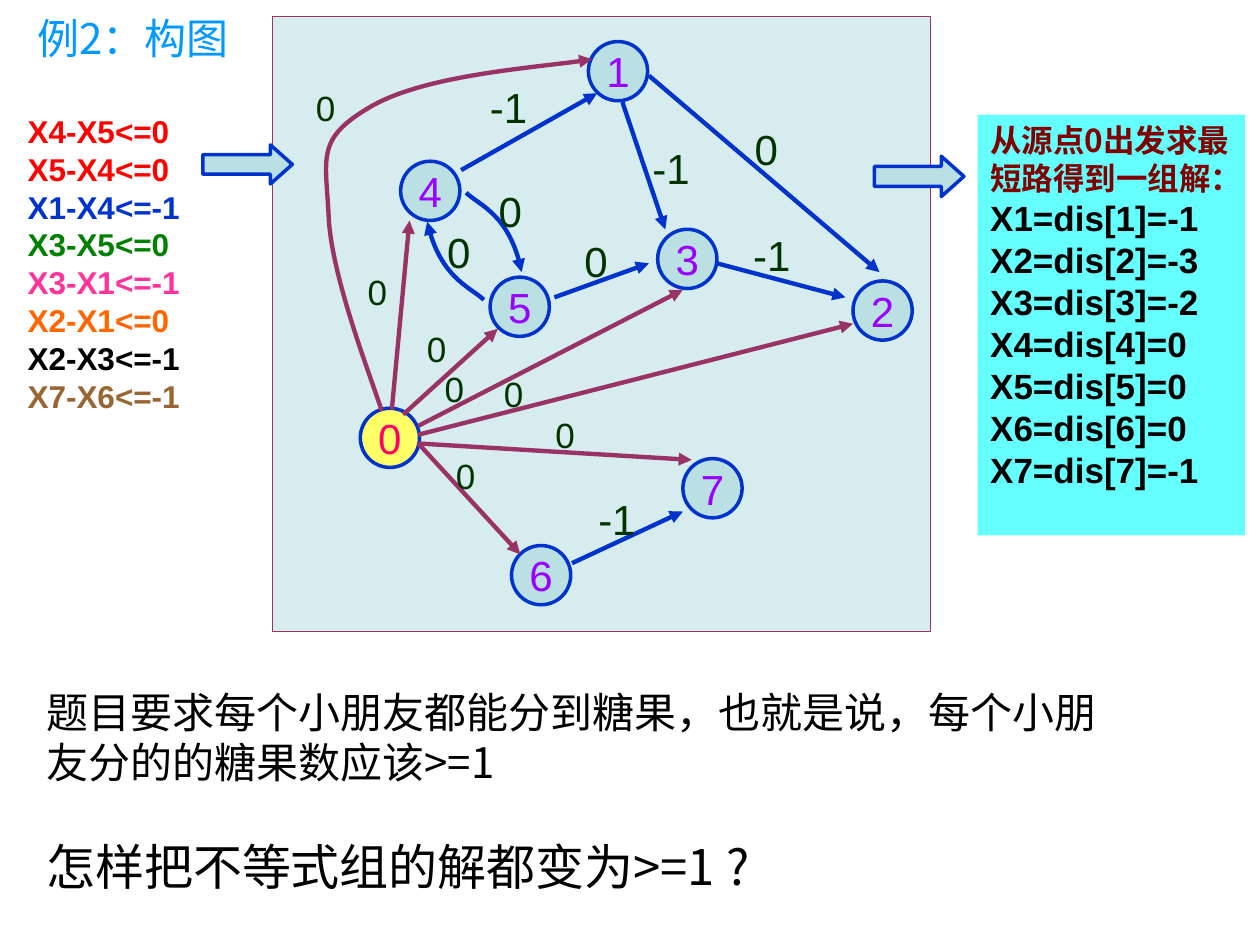
import pptx
import pptx.util
import pptx.dml.color
import pptx.enum.shapes
import pptx.enum.text
import pptx.oxml.ns
from lxml import etree

Inches, Pt = pptx.util.Inches, pptx.util.Pt
RGB = pptx.dml.color.RGBColor
SHAPE = pptx.enum.shapes.MSO_SHAPE
STRAIGHT = pptx.enum.shapes.MSO_CONNECTOR.STRAIGHT
ALIGN, ANCHOR = pptx.enum.text.PP_ALIGN, pptx.enum.text.MSO_ANCHOR
AUTO = pptx.enum.text.MSO_AUTO_SIZE
qn = pptx.oxml.ns.qn

LATIN, CJK = "Arial", "Noto Sans CJK SC"
BLACK, WHITE = RGB(0, 0, 0), RGB(255, 255, 255)
SKY, BLUE = RGB(0x00, 0x99, 0xFF), RGB(0x00, 0x33, 0xCC)
PALE, PLUM = RGB(0xBB, 0xE0, 0xE3), RGB(0x99, 0x33, 0x66)
PURPLE, PINK = RGB(0x99, 0x00, 0xFF), RGB(0xFF, 0x00, 0x66)
YELLOW, CYAN = RGB(0xFF, 0xFF, 0x66), RGB(0x66, 0xFF, 0xFF)
DARK_GREEN, MAROON = RGB(0x00, 0x33, 0x00), RGB(0x80, 0x00, 0x00)
RED, GREEN = RGB(0xFF, 0x00, 0x00), RGB(0x00, 0x80, 0x00)
ROSE, ORANGE = RGB(0xFF, 0x33, 0x99), RGB(0xFF, 0x66, 0x00)
BROWN = RGB(0x99, 0x66, 0x33)

# Content: text boxes as (box, size, colour, wording)
HEADINGS = [
    ((0.2, 0.05, 4.78, 0.5), 24, SKY, "例2：构图"),
    ((0.27, 5.4, 8.82, 0.9), 24, BLACK,
     "题目要求每个小朋友都能分到糖果，也就是说，每个小朋友分的的糖果数应该>=1"),
    ((0.27, 6.59, 6.46, 0.57), 28, BLACK, "怎样把不等式组的解都变为>=1 ?"),
]
CONSTRAINTS = [
    ("X4-X5<=0", RED), ("X5-X4<=0", RED), ("X1-X4<=-1", BLUE),
    ("X3-X5<=0", GREEN), ("X3-X1<=-1", ROSE), ("X2-X1<=0", ORANGE),
    ("X2-X3<=-1", BLACK), ("X7-X6<=-1", BROWN),
]
SOLUTION_TITLE = "从源点0出发求最短路得到一组解："
DISTANCES = [-1, -3, -2, 0, 0, 0, -1]

# Graph: left and top of every node, edges as (from, to), weights as (text, left, top)
NODE_SIZE = 0.47
NODES = {"4": (3.18, 1.28), "1": (4.67, 0.33), "2": (6.77, 2.23), "3": (5.22, 1.82),
         "5": (3.89, 2.2), "6": (4.06, 4.33), "7": (5.42, 3.64), "0": (2.86, 3.24)}
CONSTRAINT_EDGES = [
    ((3.66, 1.35), (4.74, 0.74)), ((4.94, 0.81), (5.28, 1.82)),
    ((5.15, 0.6), (6.98, 2.16)), ((5.69, 2.09), (6.71, 2.36)),
    ((4.4, 2.36), (5.15, 2.09)), ((4.54, 4.47), (5.42, 4.06)),
]
SOURCE_EDGES = [
    ((3.11, 3.25), (3.25, 1.75)), ((3.2, 3.29), (3.95, 2.61)),
    ((3.32, 3.38), (5.42, 2.3)), ((3.32, 3.45), (6.77, 2.57)),
    ((3.32, 3.52), (4.13, 4.4)), ((3.32, 3.52), (5.49, 3.65)),
]
# Bezier curves: a start, then three points per segment
CURVES = [
    (BLUE, [(3.84, 2.38), (3.75, 2.29), (3.49, 2.21), (3.39, 1.76)]),
    (BLUE, [(3.7, 1.53), (3.79, 1.62), (4.05, 1.7), (4.14, 2.16)]),
    (PLUM, [(3.03, 3.26), (2.94, 2.98), (2.64, 2.22), (2.61, 1.74),
            (2.59, 1.26), (2.5, 1.11), (2.92, 0.86),
            (3.34, 0.6), (4.35, 0.53), (4.7, 0.47)]),
]
CONSTRAINT_WEIGHTS = [
    ("-1", 3.79, 0.6), ("-1", 5.08, 1.08), ("-1", 5.88, 1.77), ("-1", 4.65, 3.87),
    ("0", 5.89, 0.93), ("0", 3.86, 1.42), ("0", 3.45, 1.75), ("0", 4.54, 1.82),
]
SOURCE_WEIGHTS = [("0", x, y) for x, y in [
    (2.41, 0.64), (2.82, 2.1), (3.29, 2.55), (3.43, 2.87),
    (3.9, 2.91), (4.31, 3.23), (3.52, 3.56)]]
BLOCK_ARROWS = [(1.61, 1.15, 0.71, 0.31), (6.94, 1.24, 0.71, 0.32)]

prs = pptx.Presentation()
prs.slide_width, prs.slide_height = Inches(10), Inches(7.5)
s = prs.slides.add_slide(prs.slide_layouts[6])


def write(sp, lines, wrap=True):
    """Fill a shape with lines of (text, size, colour, font, bold)."""
    tf = sp.text_frame
    tf.text = "\n".join(line[0] for line in lines)
    tf.word_wrap = wrap
    for p, (_, size, color, font, bold) in zip(tf.paragraphs, lines):
        p.alignment = ALIGN.LEFT
        for r in p.runs:
            r.font.size, r.font.bold, r.font.name = Pt(size), bold, font
            r.font.color.rgb = color
            ea = etree.SubElement(r.font._element, qn("a:ea"))
            ea.set("typeface", font)
    return tf


def add_text(box, lines):
    sp = s.shapes.add_textbox(*map(Inches, box))
    write(sp, lines).auto_size = AUTO.SHAPE_TO_FIT_TEXT


def add_block(kind, box, fill, line=None, width=2):
    sp = s.shapes.add_shape(kind, *map(Inches, box))
    sp.shadow.inherit = False
    sp.fill.solid()
    sp.fill.fore_color.rgb = fill
    if line is None:
        sp.line.fill.background()
    else:
        sp.line.color.rgb, sp.line.width = line, Pt(width)
    return sp


def add_panel(box, fill, lines):
    tf = write(add_block(SHAPE.RECTANGLE, box, fill), lines)
    tf.vertical_anchor = ANCHOR.TOP
    tf.auto_size = AUTO.SHAPE_TO_FIT_TEXT


def style_edge(sp, color):
    sp.line.color.rgb, sp.line.width = color, Pt(2.5)
    etree.SubElement(sp.line._get_or_add_ln(), qn("a:tailEnd")).set("type", "triangle")


def add_edge(start, end, color):
    sp = s.shapes.add_connector(STRAIGHT, *map(Inches, start + end))
    style_edge(sp, color)
    etree.SubElement(sp._element.spPr, qn("a:effectLst"))


def add_curve(points, color):
    start, *rest = [(Inches(x), Inches(y)) for x, y in points]
    builder = s.shapes.build_freeform(*start)
    builder.add_line_segments(rest, close=False)
    sp = builder.convert_to_shape()
    sp.fill.background()
    style_edge(sp, color)
    sp.shadow.inherit = False
    # Turn every three straight steps into one cubic segment
    path = next(sp._element.iter(qn("a:path")))
    steps = path.findall(qn("a:lnTo"))
    for i in range(0, len(steps), 3):
        cubic = etree.SubElement(path, qn("a:cubicBezTo"))
        for step in steps[i:i + 3]:
            cubic.append(step[0])
            path.remove(step)


# Constraint list
add_panel((0.12, 0.84, 1.42, 2.5), WHITE,
          [(text, 18, color, LATIN, True) for text, color in CONSTRAINTS])

# Graph background
board = add_block(SHAPE.RECTANGLE, (2.16, 0.13, 5.22, 4.88), PALE, PLUM, 0.25)
tint = next(board._element.spPr.iter(qn("a:srgbClr")))
etree.SubElement(tint, qn("a:alpha")).set("val", "59000")

# Nodes
for name, corner in NODES.items():
    fill, ink = (YELLOW, PINK) if name == "0" else (PALE, PURPLE)
    node = add_block(SHAPE.OVAL, corner + (NODE_SIZE, NODE_SIZE), fill, BLUE)
    tf = write(node, [(name, 24, ink, LATIN, False)], wrap=False)
    tf.vertical_anchor = ANCHOR.MIDDLE
    tf.paragraphs[0].alignment = ALIGN.CENTER

# Edges and their weights
for edges, color in ((CONSTRAINT_EDGES, BLUE), (SOURCE_EDGES, PLUM)):
    for start, end in edges:
        add_edge(start, end, color)
for color, points in CURVES:
    add_curve(points, color)
for weights, size, height in ((CONSTRAINT_WEIGHTS, 24, 0.5), (SOURCE_WEIGHTS, 20, 0.44)):
    for text, x, y in weights:
        add_text((x, y, 0.53, height), [(text, size, DARK_GREEN, LATIN, False)])

# Solution panel
add_panel((7.76, 0.91, 2.12, 3.34), CYAN,
          [(SOLUTION_TITLE, 18, MAROON, CJK, True)]
          + [(f"X{i}=dis[{i}]={d}", 20, BLACK, LATIN, True)
             for i, d in enumerate(DISTANCES, 1)])

# Title, question and block arrows
for box, size, color, text in HEADINGS:
    add_text(box, [(text, size, color, CJK, False)])
for box in BLOCK_ARROWS:
    arrow = add_block(SHAPE.RIGHT_ARROW, box, PALE, BLUE)
    arrow.adjustments[0], arrow.adjustments[1] = 0.5, 0.56

prs.save("out.pptx")
